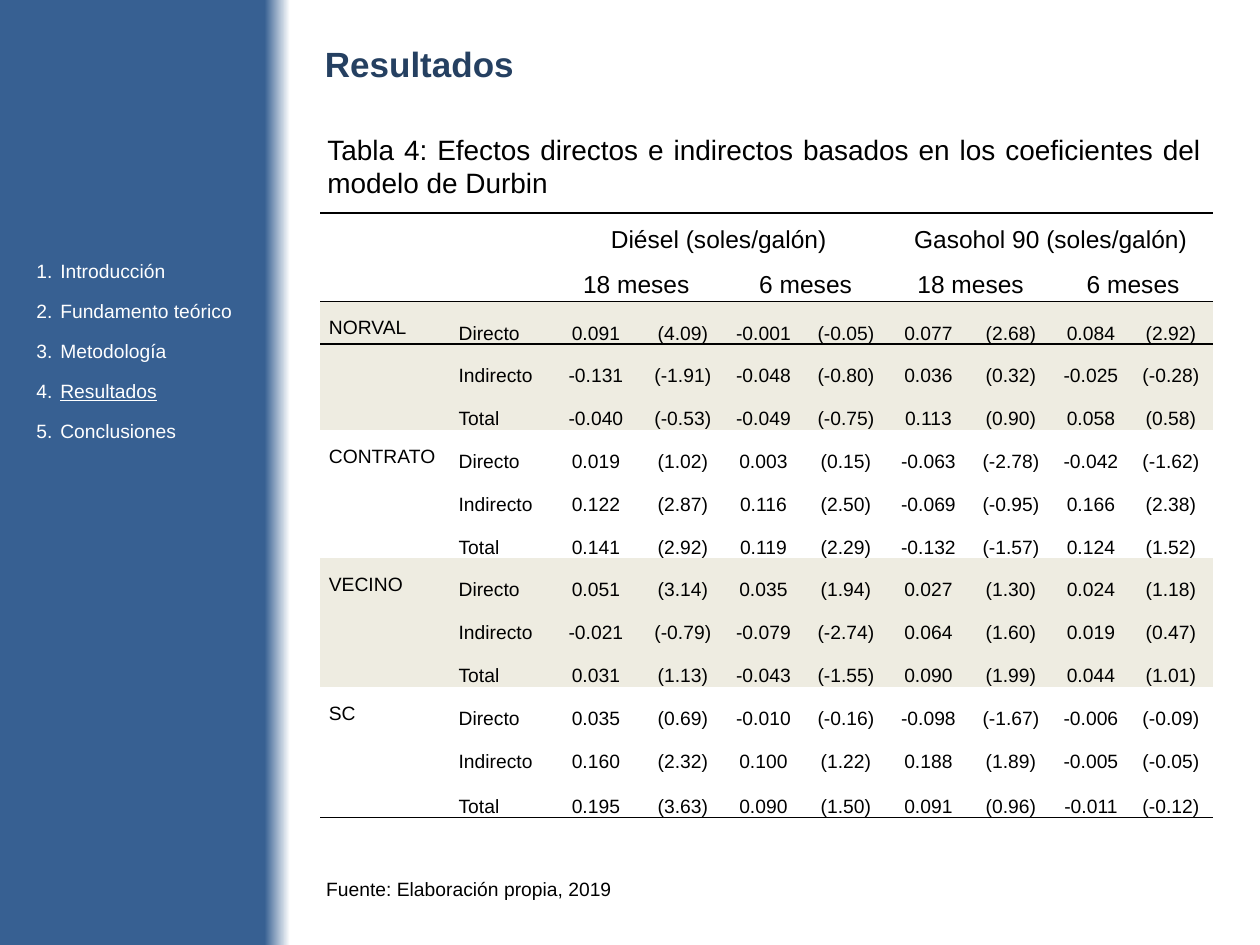
from dataclasses import dataclass

from lxml import etree
from pptx import Presentation
from pptx.dml.color import RGBColor
from pptx.enum.text import MSO_ANCHOR, PP_ALIGN
from pptx.oxml.ns import qn
from pptx.util import Inches, Pt

LEFT, CENTER, JUSTIFY = PP_ALIGN.LEFT, PP_ALIGN.CENTER, PP_ALIGN.JUSTIFY
TOP, MIDDLE, BOTTOM = MSO_ANCHOR.TOP, MSO_ANCHOR.MIDDLE, MSO_ANCHOR.BOTTOM
NO_STYLE_NO_GRID = "{2D5ABB26-0587-4C30-8999-92F81FD0307C}"


@dataclass(frozen=True)
class Theme:
    font: str = "Arial"
    side: str = "376092"
    white: str = "FFFFFF"
    title: str = "254061"
    ink: str = "000000"
    band: str = "EEECE1"
    title_size: int = 20
    caption_size: int = 16
    head_size: int = 14
    body_size: int = 11


THEME = Theme()

SECTIONS = ["Introducción", "Fundamento teórico", "Metodología", "Resultados", "Conclusiones"]
CURRENT = "Resultados"

FUELS = ["Diésel (soles/galón)", "Gasohol 90 (soles/galón)"]
PERIODS = ["18 meses", "6 meses"]
EFFECTS = ["Directo", "Indirecto", "Total"]
# Each row: coefficient and (t statistic) for every fuel and period
RESULTS = {
    "NORVAL": [
        "0.091 (4.09) -0.001 (-0.05) 0.077 (2.68) 0.084 (2.92)",
        "-0.131 (-1.91) -0.048 (-0.80) 0.036 (0.32) -0.025 (-0.28)",
        "-0.040 (-0.53) -0.049 (-0.75) 0.113 (0.90) 0.058 (0.58)",
    ],
    "CONTRATO": [
        "0.019 (1.02) 0.003 (0.15) -0.063 (-2.78) -0.042 (-1.62)",
        "0.122 (2.87) 0.116 (2.50) -0.069 (-0.95) 0.166 (2.38)",
        "0.141 (2.92) 0.119 (2.29) -0.132 (-1.57) 0.124 (1.52)",
    ],
    "VECINO": [
        "0.051 (3.14) 0.035 (1.94) 0.027 (1.30) 0.024 (1.18)",
        "-0.021 (-0.79) -0.079 (-2.74) 0.064 (1.60) 0.019 (0.47)",
        "0.031 (1.13) -0.043 (-1.55) 0.090 (1.99) 0.044 (1.01)",
    ],
    "SC": [
        "0.035 (0.69) -0.010 (-0.16) -0.098 (-1.67) -0.006 (-0.09)",
        "0.160 (2.32) 0.100 (1.22) 0.188 (1.89) -0.005 (-0.05)",
        "0.195 (3.63) 0.090 (1.50) 0.091 (0.96) -0.011 (-0.12)",
    ],
}
COL_WIDTHS = [1.03, 0.79, 0.74, 0.64, 0.64, 0.67, 0.64, 0.67, 0.6, 0.67]
HEAD_ROWS, HEAD_H, BODY_H, LAST_H = 2, 0.35, 0.34, 0.36


def write(p, text, size=THEME.body_size, color=THEME.ink, bold=False,
          underline=False, align=LEFT, spacing=None, before=None, after=None):
    """Put one formatted run in paragraph p."""
    p.alignment = align
    if spacing:
        p.line_spacing = spacing
    if before is not None:
        p.space_before = Pt(before)
    if after is not None:
        p.space_after = Pt(after)
    r = p.add_run()
    r.text = text
    r.font.name, r.font.size = THEME.font, Pt(size)
    r.font.bold, r.font.underline = bold, underline
    r.font.color.rgb = RGBColor.from_string(color)


def add_text_box(slide, box, wrap=True):
    tf = slide.shapes.add_textbox(*map(Inches, box)).text_frame
    tf.word_wrap = wrap
    return tf


def add_label(slide, box, text, wrap=True, **fmt):
    write(add_text_box(slide, box, wrap).paragraphs[0], text, **fmt)


def paint_background(slide):
    """Blue side band that fades quickly to white."""
    fill = slide.background.fill
    fill.gradient()
    fill.gradient_angle = 0
    stops = [(0.21, THEME.side), (0.23, THEME.white)]
    for stop, (position, color) in zip(fill.gradient_stops, stops):
        stop.position = position
        stop.color.rgb = RGBColor.from_string(color)


def add_agenda(slide, box):
    """Numbered section list with the current section underlined."""
    tf = add_text_box(slide, box)
    for i, section in enumerate(SECTIONS):
        p = tf.paragraphs[0] if i == 0 else tf.add_paragraph()
        write(p, section, color=THEME.white, underline=section == CURRENT,
              spacing=1.5, before=3)
        pPr = p._p.get_or_add_pPr()
        pPr.set("marL", str(Inches(0.19)))
        pPr.set("indent", str(-Inches(0.19)))
        etree.SubElement(pPr, qn("a:buFont"), typeface="+mj-lt")
        etree.SubElement(pPr, qn("a:buAutoNum"), type="arabicPeriod")


def add_rule(cell, side):
    """Draw a 1 pt line on one side of a cell: lnT or lnB."""
    ln = etree.SubElement(cell._tc.get_or_add_tcPr(), qn(f"a:{side}"), w=str(Pt(1)))
    fill = etree.SubElement(ln, qn("a:solidFill"))
    etree.SubElement(fill, qn("a:srgbClr"), val=THEME.ink)


def fill_cell(cell, text, anchor=BOTTOM, **fmt):
    cell.vertical_anchor = anchor
    write(cell.text_frame.paragraphs[0], text, spacing=1.5, **fmt)


def style_cells(table):
    """Insets, horizontal rules and a band on every second group."""
    last = len(table.rows) - 1
    for i, row in enumerate(table.rows):
        group = (i - HEAD_ROWS) // len(EFFECTS)
        for cell in row.cells:
            cell.margin_left = cell.margin_right = Inches(0.07)
            cell.margin_top = cell.margin_bottom = 0
            if i in (0, HEAD_ROWS):
                add_rule(cell, "lnT")
            if i in (HEAD_ROWS - 1, last):
                add_rule(cell, "lnB")
            if i >= HEAD_ROWS and group % 2 == 0:
                cell.fill.solid()
                cell.fill.fore_color.rgb = RGBColor.from_string(THEME.band)
            else:
                cell.fill.background()


def add_results_table(slide, box):
    n_rows = HEAD_ROWS + len(RESULTS) * len(EFFECTS)
    table = slide.shapes.add_table(n_rows, len(COL_WIDTHS), *map(Inches, box)).table
    table.first_row = table.horz_banding = False
    table._tbl.tblPr.find(qn("a:tableStyleId")).text = NO_STYLE_NO_GRID
    for col, width in zip(table.columns, COL_WIDTHS):
        col.width = Inches(width)
    body_rows = n_rows - HEAD_ROWS - 1
    for row, height in zip(table.rows, [HEAD_H] * HEAD_ROWS + [BODY_H] * body_rows + [LAST_H]):
        row.height = Inches(height)
    style_cells(table)

    # Headings: each fuel spans four columns, each period two
    for i, (labels, span) in enumerate([(FUELS, 4), (PERIODS * len(FUELS), 2)]):
        for j, label in enumerate(labels):
            col = 2 + j * span
            table.cell(i, col).merge(table.cell(i, col + span - 1))
            fill_cell(table.cell(i, col), label, TOP, size=THEME.head_size, align=CENTER)

    # Body: one group of effects per variable
    for g, (variable, lines) in enumerate(RESULTS.items()):
        first = HEAD_ROWS + g * len(EFFECTS)
        fill_cell(table.cell(first, 0), variable, MIDDLE)
        for i, (effect, line) in enumerate(zip(EFFECTS, lines), first):
            fill_cell(table.cell(i, 1), effect)
            for j, value in enumerate(line.split(), 2):
                fill_cell(table.cell(i, j), value, align=CENTER)


def build_results_slide(prs):
    slide = prs.slides.add_slide(prs.slide_layouts[6])
    paint_background(slide)
    add_label(slide, (2.48, 0.29, 5.98, 0.44), "Resultados",
              size=THEME.title_size, color=THEME.title, bold=True)
    add_agenda(slide, (0.19, 1.92, 1.76, 5.13))
    add_results_table(slide, (2.54, 1.69, 7.09, 4.85))
    add_label(slide, (2.5, 1, 7.13, 0.64),
              "Tabla 4: Efectos directos e indirectos basados en los coeficientes "
              "del modelo de Durbin", size=THEME.caption_size, align=JUSTIFY)
    add_label(slide, (2.49, 6.91, 2.48, 0.29), "Fuente: Elaboración propia, 2019",
              wrap=False, before=6, after=18)


def main():
    prs = Presentation()
    prs.slide_width, prs.slide_height = Inches(10), Inches(7.5)
    build_results_slide(prs)
    prs.save("out.pptx")


if __name__ == "__main__":
    main()
